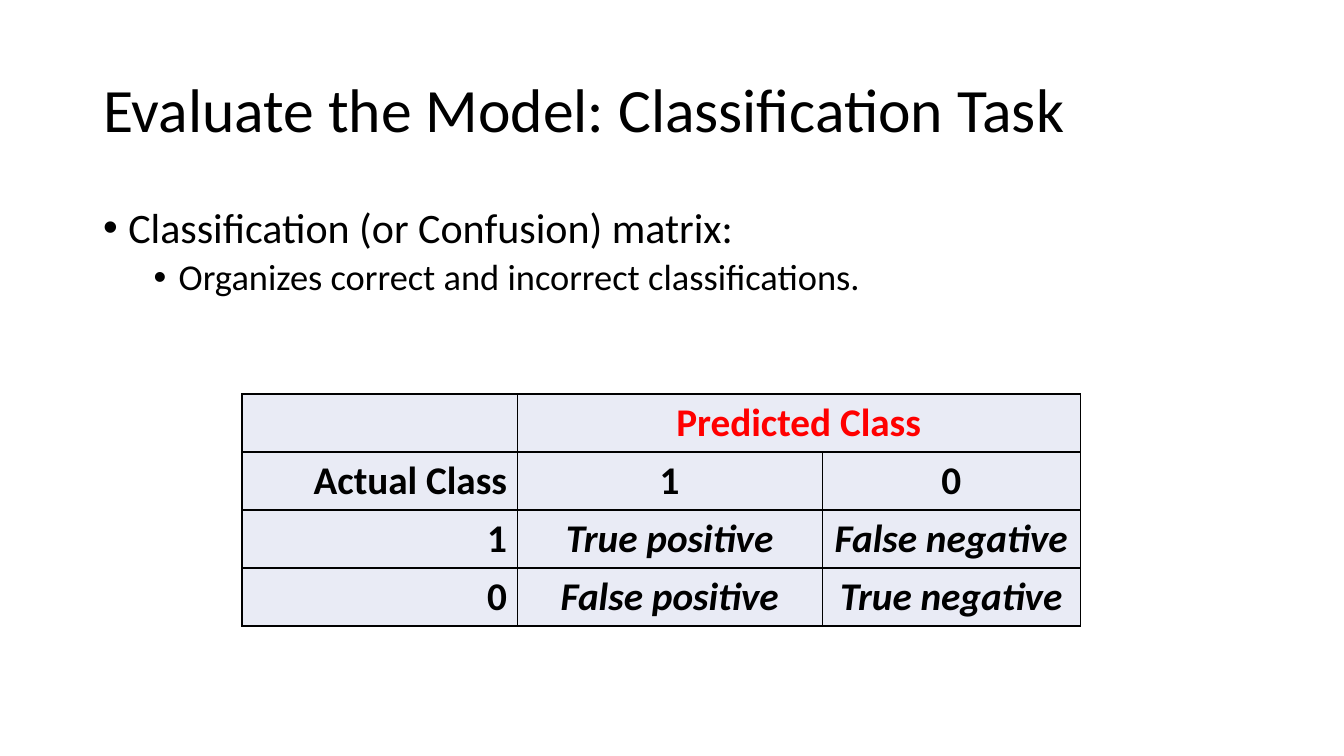
from dataclasses import dataclass

from lxml.etree import SubElement
from pptx import Presentation
from pptx.dml.color import RGBColor
from pptx.enum.text import MSO_ANCHOR, MSO_AUTO_SIZE, PP_ALIGN
from pptx.oxml.ns import qn
from pptx.util import Emu, Inches, Pt


@dataclass(frozen=True)
class Theme:
    font: str = "Calibri"
    bullet_font: str = "Arial"
    ink: str = "000000"
    accent: str = "FF0000"
    cell_fill: str = "E9EBF5"
    title_size: int = 44
    bullet_sizes: tuple = (30, 26)
    table_size: int = 28
    border_width: int = 1


THEME = Theme()
PX_PER_INCH = 100.8

BULLETS = [
    (0, "Classification (or Confusion) matrix:"),
    (1, "Organizes correct and incorrect classifications."),
]
MATRIX = [
    ["", "Predicted Class", ""],
    ["Actual Class", "1", "0"],
    ["1", "True positive", "False negative"],
    ["0", "False positive", "True negative"],
]
COLUMN_WIDTHS = [275, 305, 258]
ROW_HEIGHT = 58


def px(length):
    return Emu(round(length * Inches(1) / PX_PER_INCH))


def place(box, left, top, width, height):
    box.left, box.top, box.width, box.height = map(px, (left, top, width, height))


def style_runs(para, size, color=THEME.ink, bold=False, italic=False):
    for span in para.runs:
        font = span.font
        font.name, font.size = THEME.font, Pt(size)
        font.bold, font.italic = bold, italic
        font.color.rgb = RGBColor.from_string(color)


def add_title(page, text):
    title = page.shapes.title
    place(title, 93, 40, 1159, 146)
    frame = title.text_frame
    frame.text = text
    frame.auto_size = MSO_AUTO_SIZE.NONE
    frame.vertical_anchor = MSO_ANCHOR.MIDDLE
    para = frame.paragraphs[0]
    para.alignment = PP_ALIGN.LEFT
    para.line_spacing = 0.9
    style_runs(para, THEME.title_size)


def set_bullet(para, level):
    """Hang a round bullet a quarter inch before the text of its level."""
    properties = para._p.get_or_add_pPr()
    properties.set("marL", str(Inches(0.25 + 0.5 * level)))
    properties.set("indent", str(Inches(-0.25)))
    SubElement(properties, qn("a:buFont"), typeface=THEME.bullet_font)
    SubElement(properties, qn("a:buChar"), char="•")


def add_bullets(page, bullets):
    body = page.placeholders[1]
    place(body, 93, 202, 1159, 480)
    frame = body.text_frame
    frame.text = "\n".join(text for _, text in bullets)
    frame.auto_size = MSO_AUTO_SIZE.NONE
    for para, (level, _) in zip(frame.paragraphs, bullets):
        para.level = level
        para.line_spacing = 0.9
        para.space_before = Pt(5 if level else 10)
        set_bullet(para, level)
        style_runs(para, THEME.bullet_sizes[level])


def set_borders(cell):
    properties = cell._tc.get_or_add_tcPr()
    for side in ("lnL", "lnR", "lnT", "lnB"):
        line = SubElement(properties, qn(f"a:{side}"), w=str(Pt(THEME.border_width)))
        fill = SubElement(line, qn("a:solidFill"))
        SubElement(fill, qn("a:srgbClr"), val=THEME.ink)


def fill_cell(cell, text, row, column):
    set_borders(cell)
    cell.fill.solid()
    cell.fill.fore_color.rgb = RGBColor.from_string(THEME.cell_fill)
    cell.text_frame.text = text
    para = cell.text_frame.paragraphs[0]
    para.alignment = PP_ALIGN.CENTER if column else PP_ALIGN.RIGHT
    style_runs(
        para,
        THEME.table_size,
        color=THEME.ink if row else THEME.accent,
        bold=True,
        italic=row > 1 and column > 0,
    )


def add_matrix(page, rows):
    frame = page.shapes.add_table(
        len(rows), len(COLUMN_WIDTHS), px(242), px(394),
        px(sum(COLUMN_WIDTHS)), px(ROW_HEIGHT * len(rows)),
    )
    table = frame.table
    for column, width in zip(table.columns, COLUMN_WIDTHS):
        column.width = px(width)
    for row_index, texts in enumerate(rows):
        table.rows[row_index].height = px(ROW_HEIGHT)
        for column_index, text in enumerate(texts):
            cell = table.cell(row_index, column_index)
            fill_cell(cell, text, row_index, column_index)
    table.cell(0, 1).merge(table.cell(0, 2))


def main():
    deck = Presentation()
    deck.slide_width, deck.slide_height = Inches(13.33), Inches(7.5)
    page = deck.slides.add_slide(deck.slide_layouts[1])
    add_title(page, "Evaluate the Model: Classification Task")
    add_bullets(page, BULLETS)
    add_matrix(page, MATRIX)
    deck.save("out.pptx")


if __name__ == "__main__":
    main()
